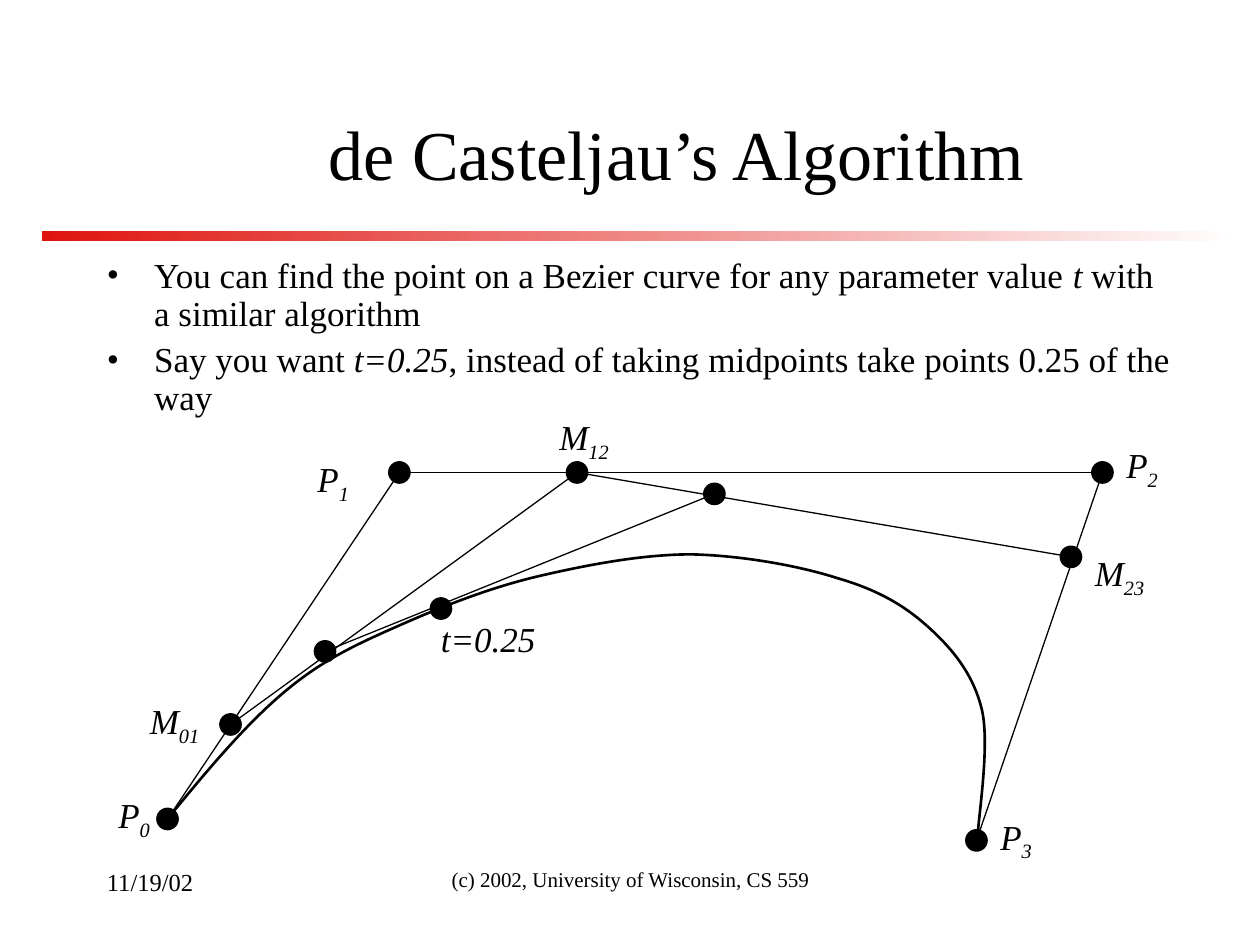
from pptx import Presentation
from pptx.dml.color import RGBColor
from pptx.enum.shapes import MSO_CONNECTOR, MSO_SHAPE
from pptx.enum.text import MSO_ANCHOR, MSO_AUTO_SIZE, PP_ALIGN
from pptx.oxml.ns import qn
from pptx.util import Inches, Pt
from lxml.etree import SubElement

BLACK = RGBColor(0, 0, 0)
WHITE = RGBColor(0xFF, 0xFF, 0xFF)
RED = RGBColor(0xDF, 0x14, 0x0F)
FONT = "Times New Roman"
DOT = 0.17


class Board:
    """Holds the style and the current slide."""

    def __init__(self, slide):
        self.slide = slide
        self.shapes = slide.shapes

    def run(self, para, text, size=20, italic=False, sub=False):
        run = para.add_run()
        run.text = text
        font = run.font
        font.name, font.size, font.italic = FONT, Pt(size), italic
        font.color.rgb = BLACK
        if sub:
            run._r.get_or_add_rPr().set("baseline", "-25000")

    def title(self, text, box):
        shape = self.shapes.title
        shape.left, shape.top, shape.width, shape.height = map(Inches, box)
        frame = shape.text_frame
        frame.auto_size = MSO_AUTO_SIZE.NONE
        frame.vertical_anchor = MSO_ANCHOR.MIDDLE
        para = frame.paragraphs[0]
        para.alignment = PP_ALIGN.CENTER
        self.run(para, text, 40)

    def frame(self, box, wrap=True):
        frame = self.shapes.add_textbox(*map(Inches, box)).text_frame
        frame.word_wrap = wrap
        return frame

    def note(self, text, box, size, align=PP_ALIGN.LEFT):
        para = self.frame(box).paragraphs[0]
        para.alignment = align
        self.run(para, text, size)

    def label(self, base, sub, box):
        frame = self.frame(box, wrap=False)
        frame.auto_size = MSO_AUTO_SIZE.SHAPE_TO_FIT_TEXT
        para = frame.paragraphs[0]
        self.run(para, base, italic=True)
        if sub:
            self.run(para, sub, italic=True, sub=True)

    def bullets(self, items, box):
        frame = self.frame(box)
        for i, parts in enumerate(items):
            para = frame.add_paragraph() if i else frame.paragraphs[0]
            para.line_spacing = 0.9
            para.space_before = Pt(5)
            props = para._p.get_or_add_pPr()
            props.set("marL", str(Inches(0.375)))
            props.set("indent", str(Inches(-0.375)))
            SubElement(props, qn("a:buFont")).set("typeface", FONT)
            SubElement(props, qn("a:buChar")).set("char", "•")
            for text, italic in parts:
                self.run(para, text, italic=italic)

    def rule(self, box):
        bar = self.shapes.add_shape(MSO_SHAPE.RECTANGLE, *map(Inches, box))
        bar.shadow.inherit = False
        bar.line.fill.background()
        bar.fill.gradient()
        bar.fill.gradient_angle = 0
        for stop, color in zip(bar.fill.gradient_stops, (RED, WHITE)):
            stop.color.rgb = color

    def dot(self, x, y):
        dot = self.shapes.add_shape(
            MSO_SHAPE.OVAL, Inches(x - DOT / 2), Inches(y - DOT / 2),
            Inches(DOT), Inches(DOT))
        dot.shadow.inherit = False
        dot.fill.solid()
        dot.fill.fore_color.rgb = BLACK
        dot.line.color.rgb = BLACK
        dot.line.width = Pt(0.75)

    def line(self, start, end):
        line = self.shapes.add_connector(
            MSO_CONNECTOR.STRAIGHT, *map(Inches, start + end))
        line.line.color.rgb = BLACK
        line.line.width = Pt(0.75)
        SubElement(line._element.spPr, qn("a:effectLst"))

    def curve(self, start, points):
        pen = self.shapes.build_freeform(*map(Inches, start))
        pen.add_line_segments([tuple(map(Inches, p)) for p in points], close=False)
        shape = pen.convert_to_shape()
        # Every three corners become one cubic segment
        track = next(shape._element.iter(qn("a:path")))
        legs = track.findall(qn("a:lnTo"))
        for i in range(0, len(legs), 3):
            cubic = SubElement(track, qn("a:cubicBezTo"))
            for leg in legs[i:i + 3]:
                cubic.append(leg[0])
                track.remove(leg)
        shape.shadow.inherit = False
        shape.fill.background()
        shape.line.color.rgb = BLACK
        shape.line.width = Pt(1.5)

    def chain(self, points, labels=()):
        for point in points:
            self.dot(*point)
        for base, sub, x, y in labels:
            self.label(base, sub, (x, y, 0.45 if base == "P" else 0.59, 0.48))
        for start, end in zip(points, points[1:]):
            self.line(start, end)


def main():
    deck = Presentation()
    deck.slide_width, deck.slide_height = Inches(10), Inches(7.5)
    board = Board(deck.slides.add_slide(deck.slide_layouts[5]))

    # Heading and text
    board.rule((0.33, 1.83, 9.5, 0.08))
    board.title("de Casteljau’s Algorithm", (1.33, 0.67, 8.08, 1.08))
    board.bullets([
        [("You can find the point on a Bezier curve for any parameter value ", False),
         ("t", True), (" with a similar algorithm", False)],
        [("Say you want ", False), ("t=0.25", True),
         (", instead of taking midpoints take points 0.25 of the way", False)],
    ], (0.75, 2, 8.67, 1.42))

    # Control polygon, then each level of points inside it
    start = (1.33, 6.5)
    board.chain(
        [start, (3.17, 3.75), (8.75, 3.75), (7.75, 6.67)],
        [("P", "0", 0.84, 6.25), ("P", "1", 2.42, 3.58),
         ("P", "2", 8.84, 3.47), ("P", "3", 7.84, 6.42)])
    board.chain(
        [(1.83, 5.75), (4.58, 3.75), (8.5, 4.42)],
        [("M", "01", 1.09, 5.5), ("M", "12", 4.34, 3.25),
         ("M", "23", 8.59, 4.33)])
    board.chain([(2.58, 5.17), (5.67, 3.92)])
    board.chain([(3.5, 4.83)])

    # Bezier curve
    board.curve(start, [
        (1.64, 6.12), (1.95, 5.75), (2.26, 5.49),
        (2.57, 5.23), (2.84, 5.11), (3.18, 4.96),
        (3.52, 4.81), (3.9, 4.66), (4.29, 4.57),
        (4.68, 4.48), (5.1, 4.4), (5.49, 4.4),
        (5.89, 4.41), (6.34, 4.49), (6.65, 4.59),
        (6.96, 4.68), (7.17, 4.8), (7.36, 4.97),
        (7.55, 5.14), (7.72, 5.34), (7.79, 5.62),
        (7.86, 5.89), (7.77, 6.45), (7.76, 6.63),
    ])
    board.label("t=0.25", "", (3.4, 4.85, 0.95, 0.44))

    # Footer
    board.note("(c) 2002, University of Wisconsin, CS 559",
               (3.42, 6.83, 3.17, 0.5), 12, PP_ALIGN.CENTER)
    board.note("11/19/02", (0.75, 6.83, 2.08, 0.5), 14)

    deck.save("out.pptx")


if __name__ == "__main__":
    main()
